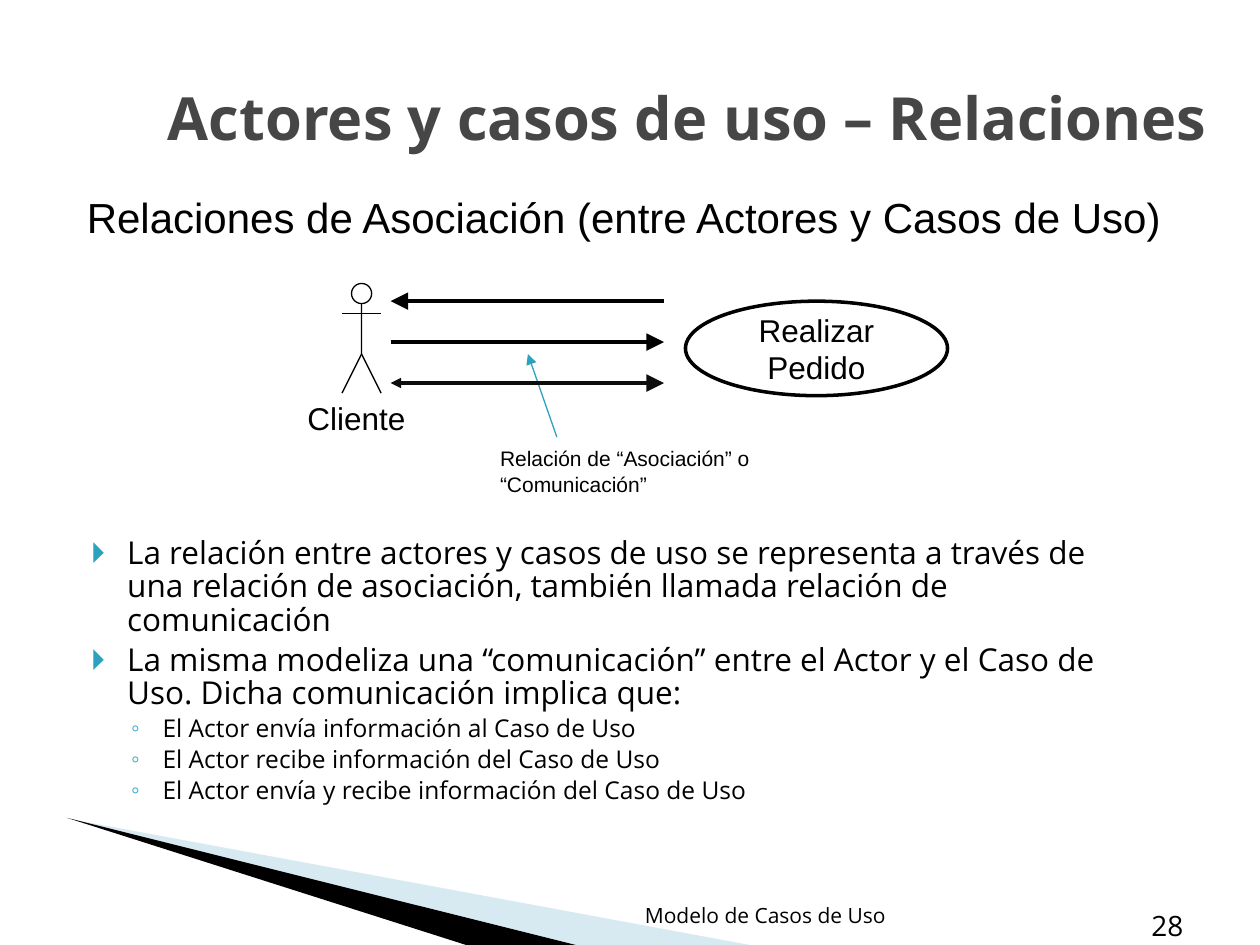
"""Builds a slide on the association between actors and use cases."""
from dataclasses import dataclass

from lxml.etree import SubElement
from pptx import Presentation
from pptx.dml.color import RGBColor
from pptx.enum.shapes import MSO_CONNECTOR, MSO_SHAPE
from pptx.enum.text import MSO_ANCHOR, MSO_AUTO_SIZE, PP_ALIGN
from pptx.oxml.ns import qn
from pptx.util import Inches, Pt


@dataclass(frozen=True)
class Theme:
    """Colours, fonts and type sizes of the slide."""
    ink: str = "000000"
    soft_ink: str = "0D0D0D"
    title_ink: str = "464646"
    accent: str = "2DA2BF"
    pale: str = "9FCBDC"
    paper: str = "FFFFFF"
    text_font: str = "Open Sans"
    diagram_font: str = "Arial"
    title_size: int = 34
    heading_size: int = 24
    body_size: int = 18
    number_size: int = 16
    detail_size: int = 14
    note_size: int = 12
    thick: float = 2
    thin: float = 0.75


THEME = Theme()
COLUMNS, ROWS = 100, 75
CELL = Inches(0.1)

BULLETS = [
    (0, 0, "La relación entre actores y casos de uso se representa a través de una "
           "relación de asociación, también llamada relación de comunicación"),
    (0, 4, "La misma modeliza una “comunicación” entre el Actor y el Caso de Uso. "
           "Dicha comunicación implica que:"),
    (1, 3, "El Actor envía información al Caso de Uso"),
    (1, 3, "El Actor recibe información del Caso de Uso"),
    (1, 3, "El Actor envía y recibe información del Caso de Uso"),
]
BULLET_STYLES = [("🞂", 0.4, -0.28, THEME.body_size), ("◦", 0.68, -0.25, THEME.detail_size)]


def cells(*counts):
    """Turn counts of grid cells into lengths."""
    return [round(count * CELL) for count in counts]


def place(shape, box):
    """Move and size a shape to a box of grid cells."""
    shape.left, shape.top, shape.width, shape.height = cells(*box)


def write(shape, text, size, font=THEME.text_font, color=THEME.ink, bold=False,
          align=PP_ALIGN.LEFT, anchor=MSO_ANCHOR.TOP, inset=True):
    """Write one paragraph per line of text with a common format."""
    frame = shape.text_frame
    frame.word_wrap = True
    frame.auto_size = MSO_AUTO_SIZE.NONE
    frame.vertical_anchor = anchor
    frame.margin_left = frame.margin_right = Inches(0.1 if inset else 0)
    frame.margin_top = frame.margin_bottom = Inches(0.05 if inset else 0)
    frame.text = text
    for paragraph in frame.paragraphs:
        paragraph.alignment = align
        for run in paragraph.runs:
            run.font.size = Pt(size)
            run.font.name = font
            run.font.bold = bold
            run.font.color.rgb = RGBColor.from_string(color)


def add_text(shapes, box, text, size, **style):
    """Add a text box on the grid."""
    write(shapes.add_textbox(*cells(*box)), text, size, **style)


def paint(shape, fill=None, line=None, width=THEME.thin):
    """Set the fill and outline of a shape and drop its shadow."""
    shape.shadow.inherit = False
    if fill:
        shape.fill.solid()
        shape.fill.fore_color.rgb = RGBColor.from_string(fill)
    else:
        shape.fill.background()
    if line:
        shape.line.color.rgb = RGBColor.from_string(line)
        shape.line.width = Pt(width)
    else:
        shape.line.fill.background()


def add_line(shapes, start, end, color=THEME.ink, width=THEME.thin, head=None, tail=None):
    """Add a straight line with optional arrowheads of a given size."""
    line = shapes.add_connector(MSO_CONNECTOR.STRAIGHT, *cells(*start, *end))
    line.line.color.rgb = RGBColor.from_string(color)
    line.line.width = Pt(width)
    outline = line.line._get_or_add_ln()
    for name, size in (("headEnd", head), ("tailEnd", tail)):
        if size:
            SubElement(outline, qn(f"a:{name}"), type="triangle", w=size, len=size)
    SubElement(line._element.spPr, qn("a:effectLst"))


def add_outline(shapes, points, closed, **style):
    """Add a freeform through points of the grid."""
    start, *others = [cells(*point) for point in points]
    builder = shapes.build_freeform(*start)
    builder.add_line_segments(others, close=closed)
    shape = builder.convert_to_shape()
    paint(shape, **style)
    return shape


def add_wedge(shapes, points, color, opacity=100):
    """Add a corner wedge behind everything else."""
    wedge = add_outline(shapes, points, True, fill=color)
    if opacity < 100:
        color_element = wedge._element.spPr.find(f".//{qn('a:srgbClr')}")
        SubElement(color_element, qn("a:alpha"), val=str(opacity * 1000))
    wedge._element.getparent().insert(2, wedge._element)


def add_actor(slide, center, top, name):
    """Add a stick figure with its name."""
    shapes = slide.shapes.add_group_shape().shapes
    reach, neck, hip, foot = 1.55, top + 1.6, top + 5.6, top + 8.7
    head = shapes.add_shape(MSO_SHAPE.OVAL, *cells(center - 0.8, top, 1.6, 1.6))
    paint(head, fill=THEME.paper, line=THEME.ink)
    add_line(shapes, (center - reach, top + 2.4), (center + reach, top + 2.4))
    add_line(shapes, (center, hip), (center + reach, foot))
    add_outline(shapes, [(center, neck), (center, hip), (center - reach, foot)],
                False, line=THEME.ink)
    add_text(shapes, (center - 4.3, top + 9.2, 8.3, 3), name, THEME.body_size,
             font=THEME.diagram_font, inset=False)


def fill_bullets(body):
    """Write the two levels of bullets into the body placeholder."""
    write(body, "\n".join(text for _, _, text in BULLETS), THEME.body_size)
    for paragraph, (level, space, _) in zip(body.text_frame.paragraphs, BULLETS):
        mark, margin, indent, size = BULLET_STYLES[level]
        paragraph.level = level
        paragraph.line_spacing = 0.88
        paragraph.space_before = Pt(space)
        paragraph.runs[0].font.size = Pt(size)
        properties = paragraph._p.get_or_add_pPr()
        properties.set("marL", str(Inches(margin)))
        properties.set("indent", str(Inches(indent)))
        SubElement(SubElement(properties, qn("a:buClr")), qn("a:srgbClr"), val=THEME.accent)
        SubElement(properties, qn("a:buChar"), char=mark)


def add_diagram(slide):
    """Add the actor, the use case and the associations between them."""
    shapes = slide.shapes
    add_actor(slide, 28.7, 22.5, "Cliente")
    use_case = shapes.add_shape(MSO_SHAPE.OVAL, *cells(54.4, 23.9, 20.8, 7.5))
    paint(use_case, line=THEME.ink, width=THEME.thick)
    write(use_case, "Realizar Pedido", THEME.body_size, font=THEME.diagram_font,
          align=PP_ALIGN.CENTER, anchor=MSO_ANCHOR.MIDDLE)
    left, right = 31, 52.7
    add_line(shapes, (44.2, 34.7), (41.9, 28.1), color=THEME.accent, tail="med")
    associations = [(right, left, THEME.ink, None), (left, right, THEME.ink, None),
                    (left, right, THEME.soft_ink, "med")]
    for index, (start, end, color, head) in enumerate(associations):
        row = 23.9 + index * 3.25
        add_line(shapes, (start, row), (end, row), color=color, width=THEME.thick,
                 head=head, tail="lg")
    add_text(shapes, (38.7, 34.9, 21.9, 5.1), "Relación de “Asociación” o\n“Comunicación”",
             THEME.note_size, font=THEME.diagram_font)


def main():
    """Build and save the presentation."""
    presentation = Presentation()
    presentation.slide_width, presentation.slide_height = cells(COLUMNS, ROWS)
    slide = presentation.slides.add_slide(presentation.slide_layouts[1])
    title, body = slide.placeholders
    place(title, (5, 3, 93, 12.5))
    write(title, "Actores y casos de uso – Relaciones ", THEME.title_size, bold=True,
          color=THEME.title_ink, align=PP_ALIGN.RIGHT, anchor=MSO_ANCHOR.MIDDLE)
    place(body, (5.1, 42.2, 85, 24.5))
    fill_bullets(body)
    add_wedge(slide.shapes, [(5.3, 64.9), (45.7, ROWS), (37, ROWS)], THEME.ink)
    add_wedge(slide.shapes, [(5.5, 65), (59.5, ROWS), (45.6, ROWS)], THEME.pale, opacity=40)
    add_text(slide.shapes, (5.9, 14.7, 88.1, 5),
             "Relaciones de Asociación (entre Actores y Casos de Uso)",
             THEME.heading_size, font=THEME.diagram_font)
    add_diagram(slide)
    add_text(slide.shapes, (47.9, 70.1, 25.7, 4), "Modelo de Casos de Uso", THEME.note_size,
             align=PP_ALIGN.CENTER, anchor=MSO_ANCHOR.BOTTOM)
    add_text(slide.shapes, (87.8, 71.3, 7.1, 4), "28", THEME.number_size,
             align=PP_ALIGN.RIGHT, anchor=MSO_ANCHOR.BOTTOM)
    presentation.save("out.pptx")


if __name__ == "__main__":
    main()
